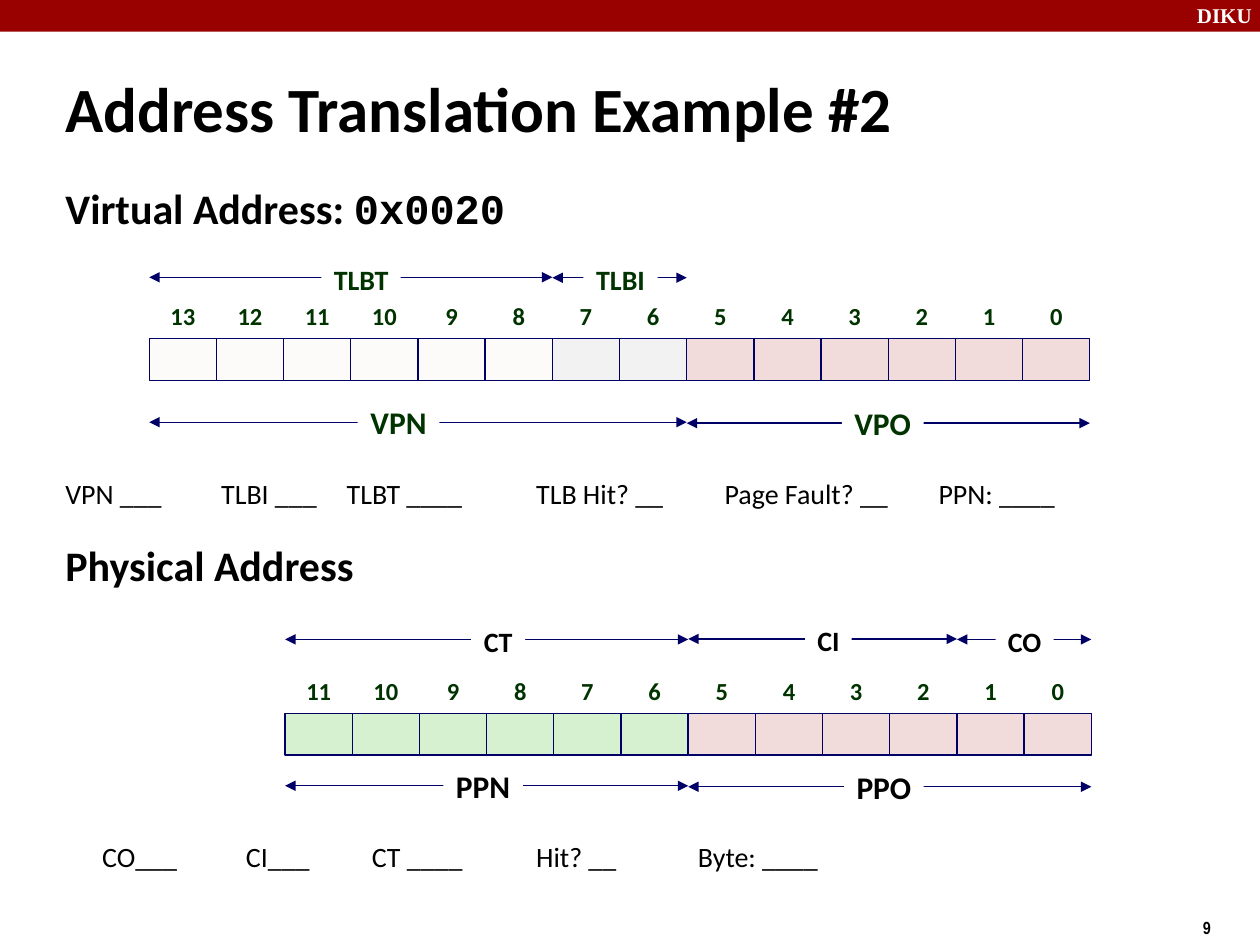
from lxml.etree import SubElement
from pptx import Presentation
from pptx.dml.color import RGBColor
from pptx.enum.shapes import MSO_CONNECTOR, MSO_SHAPE
from pptx.enum.text import MSO_ANCHOR, PP_ALIGN
from pptx.oxml.ns import qn
from pptx.util import Cm, Pt

RED = RGBColor(0x99, 0x00, 0x00)
NAVY = RGBColor(0x00, 0x00, 0x66)
GREEN = RGBColor(0x00, 0x33, 0x00)
BLACK = RGBColor(0x00, 0x00, 0x00)
WHITE = RGBColor(0xFF, 0xFF, 0xFF)
CREAM = RGBColor(0xFC, 0xFB, 0xF9)
GREY = RGBColor(0xF2, 0xF2, 0xF2)
PINK = RGBColor(0xF2, 0xDC, 0xDB)
MINT = RGBColor(0xD5, 0xF1, 0xCF)

deck = Presentation()
deck.slide_width, deck.slide_height = Cm(25.4), Cm(19.05)
slide = deck.slides.add_slide(deck.slide_layouts[6])
shapes = slide.shapes


def add_rect(left, top, width, height, fill, line=None):
    rect = shapes.add_shape(MSO_SHAPE.RECTANGLE, Cm(left), Cm(top), Cm(width), Cm(height))
    rect.shadow.inherit = False
    rect.fill.solid()
    rect.fill.fore_color.rgb = fill
    if line is None:
        rect.line.fill.background()
    else:
        rect.line.color.rgb = line
        rect.line.width = Pt(0.75)
    return rect


def write(shape, text, size, color, font="Calibri", align=PP_ALIGN.CENTER,
          anchor=MSO_ANCHOR.MIDDLE, pitch=0.88):
    """Put one bold line into a shape; only centred lines may overflow it."""
    frame = shape.text_frame
    frame.text = text
    frame.word_wrap = align != PP_ALIGN.CENTER
    frame.vertical_anchor = anchor
    para = frame.paragraphs[0]
    para.alignment = align
    para.line_spacing = pitch
    para.font.size = Pt(size)
    para.font.name = font
    para.font.bold = True
    para.font.color.rgb = color


# Banner, page number and title
add_rect(0, 0, 25.4, 0.64, RED)
for text, left, top, width, height, size, color, font, anchor in [
    ("DIKU", 23.88, -0.08, 1.7, 0.76, 12, WHITE, "Times New Roman", MSO_ANCHOR.TOP),
    ("9", 24, 18.36, 1.4, 0.74, 10, BLACK, "Arial Narrow", MSO_ANCHOR.TOP),
    ("Address Translation Example #2", 1.07, 1.37, 20.4, 1.6, 36, BLACK, "Calibri",
     MSO_ANCHOR.MIDDLE),
]:
    box = shapes.add_textbox(Cm(left), Cm(top), Cm(width), Cm(height))
    write(box, text, size, color, font, PP_ALIGN.LEFT, anchor, 1.0)

# Headings and the lines to fill in: text, size, bold, pitch, space before, tab stops
body = shapes.add_textbox(Cm(1.07), Cm(3.81), Cm(23.06), Cm(14.8)).text_frame
body.word_wrap = True
lines = [
    ("Virtual Address: ", 24, True, 0.73, 0, []),
    ("VPN ___\tTLBI ___\tTLBT ____\tTLB Hit? __\tPage Fault? __\tPPN: ____",
     16, False, 1.0, 140, [3.14, 5.67, 9.49, 13.29, 17.6]),
    ("Physical Address", 24, True, 0.73, 24, []),
    ("\tCO___\tCI___\tCT ____\tHit? __\tByte: ____",
     16, False, 1.0, 143, [0.74, 3.64, 6.18, 9.49, 12.75]),
]
for i, (text, size, bold, pitch, space, stops) in enumerate(lines):
    para = body.paragraphs[0] if i == 0 else body.add_paragraph()
    para.text = text
    para.line_spacing = pitch
    if space:
        para.space_before = Pt(space)
    if stops:
        tabs = SubElement(para._p.get_or_add_pPr(), qn("a:tabLst"))
        for stop in stops:
            SubElement(tabs, qn("a:tab"), pos=str(Cm(stop)), algn="l")
    para.font.size = Pt(size)
    para.font.bold = bold
    para.font.name = "Calibri"
    para.font.color.rgb = BLACK
code = body.paragraphs[0].add_run()
code.text = "0x0020"
code.font.name = "Courier New"

# Bit rows, numbered from the right; fields: name, high bit, low bit, y, label left, width
CELL = 18.96 / 14
HIGH = 0.84
rows = [
    (21.97, 6.83, [CREAM] * 6 + [GREY] * 2 + [PINK] * 6, 16, GREEN, [
        ("VPO", 5, 0, 8.53, 16.97, 1.65),
        ("VPN", 13, 6, 8.51, 7.21, 1.65),
        ("TLBI", 7, 6, 5.6, 11.76, 1.5),
        ("TLBT", 13, 8, 5.59, 6.48, 1.6),
    ]),
    (22, 14.38, [MINT] * 6 + [PINK] * 6, 16, BLACK, [
        ("PPO", 5, 0, 15.86, 17.02, 1.6),
        ("PPN", 11, 6, 15.84, 8.94, 1.6),
        ("CO", 1, 0, 12.89, 20.07, 1.17),
        ("CI", 5, 2, 12.88, 16.23, 0.94),
        ("CT", 11, 6, 12.89, 9.5, 1.09),
    ]),
]
for right, top, fills, small, color, fields in rows:
    for i, fill in enumerate(fills):
        bit = len(fills) - 1 - i
        left = right - (bit + 1) * CELL
        add_rect(left, top, CELL, HIGH, fill, NAVY)
        box = shapes.add_textbox(Cm(left), Cm(top - HIGH), Cm(CELL), Cm(HIGH))
        write(box, str(bit), 14, GREEN)

    for name, high, low, y, left, width in fields:
        arrow = shapes.add_connector(
            MSO_CONNECTOR.STRAIGHT,
            Cm(right - (high + 1) * CELL), Cm(y), Cm(right - low * CELL), Cm(y))
        arrow.line.color.rgb = NAVY
        arrow.line.width = Pt(0.75)
        line = arrow.line._get_or_add_ln()
        SubElement(line, qn("a:headEnd"), type="triangle")
        SubElement(line, qn("a:tailEnd"), type="triangle")
        SubElement(arrow._element.spPr, qn("a:effectLst"))

        below = y > top
        label = add_rect(left, y - (0.41 if below else 0.34), width,
                         1.02 if below else 0.91, WHITE)
        write(label, name, small + 2 * below, color, anchor=MSO_ANCHOR.TOP)

deck.save("out.pptx")
